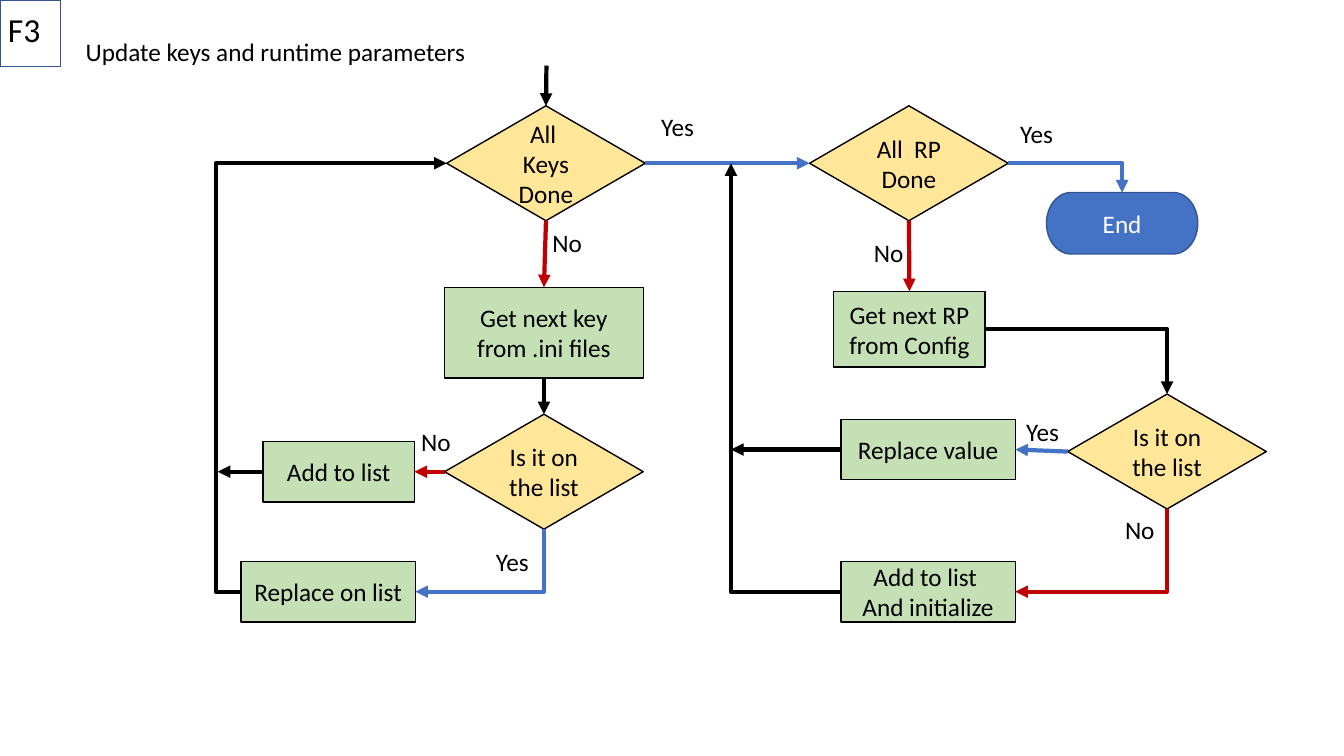
from lxml import etree
from pptx import Presentation
from pptx import util as u
from pptx.dml.color import RGBColor
from pptx.enum import shapes, text
from pptx.oxml.ns import qn

COLORS = {
    "black": "000000", "white": "FFFFFF", "step": "C5E0B4", "decision": "FFE699",
    "yes": "4472C4", "no": "C00000", "outline": "325491",
}
TOP, LEFT, BOTTOM, RIGHT = range(4)
SHAPE = shapes.MSO_SHAPE


class FlowSlide:
    font = "Calibri"
    size = 18

    def __init__(self, deck):
        self.slide = deck.slides.add_slide(deck.slide_layouts[5])

    def color(self, name):
        return RGBColor.from_string(COLORS[name])

    def add_text(self, frame, content, align, color="black", size=None):
        for index, line in enumerate(content.split("\n")):
            para = frame.paragraphs[0] if index == 0 else frame.add_paragraph()
            para.alignment = align
            span = para.add_run()
            span.text = line
            span.font.name = self.font
            span.font.size = u.Pt(size or self.size)
            span.font.color.rgb = self.color(color)

    def title(self, content, left, top, width, height):
        box = self.slide.shapes.title
        box.left, box.top = u.Inches(left), u.Inches(top)
        box.width, box.height = u.Inches(width), u.Inches(height)
        frame = box.text_frame
        frame.word_wrap = False
        frame.auto_size = text.MSO_AUTO_SIZE.NONE
        frame.vertical_anchor = text.MSO_ANCHOR.TOP
        self.add_text(frame, content, text.PP_ALIGN.LEFT)

    def label(self, content, left, top, width=0.53, height=0.4, size=None):
        box = self.slide.shapes.add_textbox(*map(u.Inches, (left, top, width, height)))
        box.text_frame.word_wrap = False
        box.text_frame.auto_size = text.MSO_AUTO_SIZE.SHAPE_TO_FIT_TEXT
        self.add_text(box.text_frame, content, text.PP_ALIGN.LEFT, size=size)

    def box(self, kind, content, bounds, fill=None, line="black", color="black"):
        box = self.slide.shapes.add_shape(kind, *map(u.Inches, bounds))
        box.shadow.inherit = False
        if fill:
            box.fill.solid()
            box.fill.fore_color.rgb = self.color(fill)
        else:
            box.fill.background()
        box.line.color.rgb = self.color(line)
        box.line.width = u.Pt(1)
        if content:
            frame = box.text_frame
            frame.word_wrap = True
            frame.vertical_anchor = text.MSO_ANCHOR.MIDDLE
            self.add_text(frame, content, text.PP_ALIGN.CENTER, color)
        return box

    def step(self, content, left, top, width=1.73, height=0.6):
        return self.box(SHAPE.FLOWCHART_PROCESS, content, (left, top, width, height), "step")

    def decision(self, content, left, top):
        return self.box(SHAPE.FLOWCHART_DECISION, content, (left, top, 1.97, 1.14), "decision")

    def arrow(self, start, end, color="black", preset="line", adjust=None):
        kind = shapes.MSO_CONNECTOR.STRAIGHT if preset == "line" else shapes.MSO_CONNECTOR.ELBOW
        link = self.slide.shapes.add_connector(kind, 0, 0, 0, 0)
        if isinstance(start[0], float):
            link.begin_x, link.begin_y = map(u.Inches, start)
        else:
            link.begin_connect(*start)
        if isinstance(end[0], float):
            link.end_x, link.end_y = map(u.Inches, end)
        else:
            link.end_connect(*end)
        link.line.color.rgb = self.color(color)
        link.line.width = u.Pt(3)
        properties = link._element.spPr
        etree.SubElement(properties.find(qn("a:ln")), qn("a:tailEnd"), type="triangle")
        etree.SubElement(properties, qn("a:effectLst"))
        geometry = properties.find(qn("a:prstGeom"))
        geometry.set("prst", preset)
        if adjust is not None:
            guides = geometry.find(qn("a:avLst"))
            etree.SubElement(guides, qn("a:gd"), name="adj1", fmla=f"val {adjust}")
        if preset == "bentConnector2" and start[1] == BOTTOM:
            self.turn_down_first(link)

    def turn_down_first(self, link):
        width, height = link.width, link.height
        link.left += (width - height) // 2
        link.top += (height - width) // 2
        link.width, link.height = height, width
        transform = link._element.spPr.find(qn("a:xfrm"))
        transform.attrib.pop("flipH", None)
        transform.set("rot", "5400000")


deck = Presentation()
deck.slide_width, deck.slide_height = u.Inches(13.33), u.Inches(7.5)
flow = FlowSlide(deck)
flow.title("Update keys and runtime parameters", 0.75, 0.31, 4.01, 0.4)

keys_done = flow.decision("All  Keys Done", 4.43, 1.05)
next_key = flow.step("Get next key from .ini files", 4.41, 2.85, 1.97, 0.9)
key_listed = flow.decision("Is it on the list", 4.41, 4.11)
add_key = flow.step("Add to list", 2.61, 4.38, 1.5)
replace_key = flow.step("Replace on list", 2.39, 5.57)

rp_done = flow.decision("All  RP Done", 8.03, 1.05)
next_rp = flow.step("Get next RP from Config", 8.27, 2.89, 1.5, 0.75)
rp_listed = flow.decision("Is it on the list", 10.59, 3.91)
replace_rp = flow.step("Replace value", 8.34, 4.16)
add_rp = flow.step("Add to list \nAnd initialize", 8.34, 5.57)
finish = flow.box(SHAPE.FLOWCHART_TERMINATOR, "End", (10.38, 1.91, 1.5, 0.61),
                  "yes", "outline", "white")

BEND = "bentConnector2"
flow.arrow((5.42, 0.65), (keys_done, TOP))
flow.arrow((keys_done, BOTTOM), (next_key, TOP), "no")
flow.arrow((keys_done, RIGHT), (rp_done, LEFT), "yes")
flow.arrow((next_key, BOTTOM), (key_listed, TOP))
flow.arrow((key_listed, LEFT), (add_key, RIGHT), "no")
flow.arrow((key_listed, BOTTOM), (replace_key, RIGHT), "yes", BEND)
flow.arrow((replace_key, LEFT), (keys_done, LEFT), preset="bentConnector3", adjust=-12200)
flow.arrow((add_key, LEFT), (2.16, 4.68))

flow.arrow((rp_done, RIGHT), (finish, TOP), "yes", BEND)
flow.arrow((rp_done, BOTTOM), (next_rp, TOP), "no")
flow.arrow((next_rp, RIGHT), (rp_listed, TOP), preset=BEND)
flow.arrow((rp_listed, LEFT), (replace_rp, RIGHT), "yes")
flow.arrow((rp_listed, BOTTOM), (add_rp, RIGHT), "no", BEND)
flow.arrow((add_rp, LEFT), (7.25, 1.62), preset=BEND)
flow.arrow((replace_rp, LEFT), (7.25, 4.46))

for left, top in ((4.82, 5.37), (6.46, 1.06), (10.08, 4.08), (10.02, 1.12)):
    flow.label("Yes", left, top)
for left, top in ((11.06, 5.05), (5.38, 2.21), (4.08, 4.18), (8.57, 2.31)):
    flow.label("No", left, top, 0.5)

flow.label("F3", -0.02, 0.04, height=0.5, size=24)
flow.box(SHAPE.RECTANGLE, "", (0, 0, 0.6, 0.66), line="outline")

deck.save("out.pptx")
